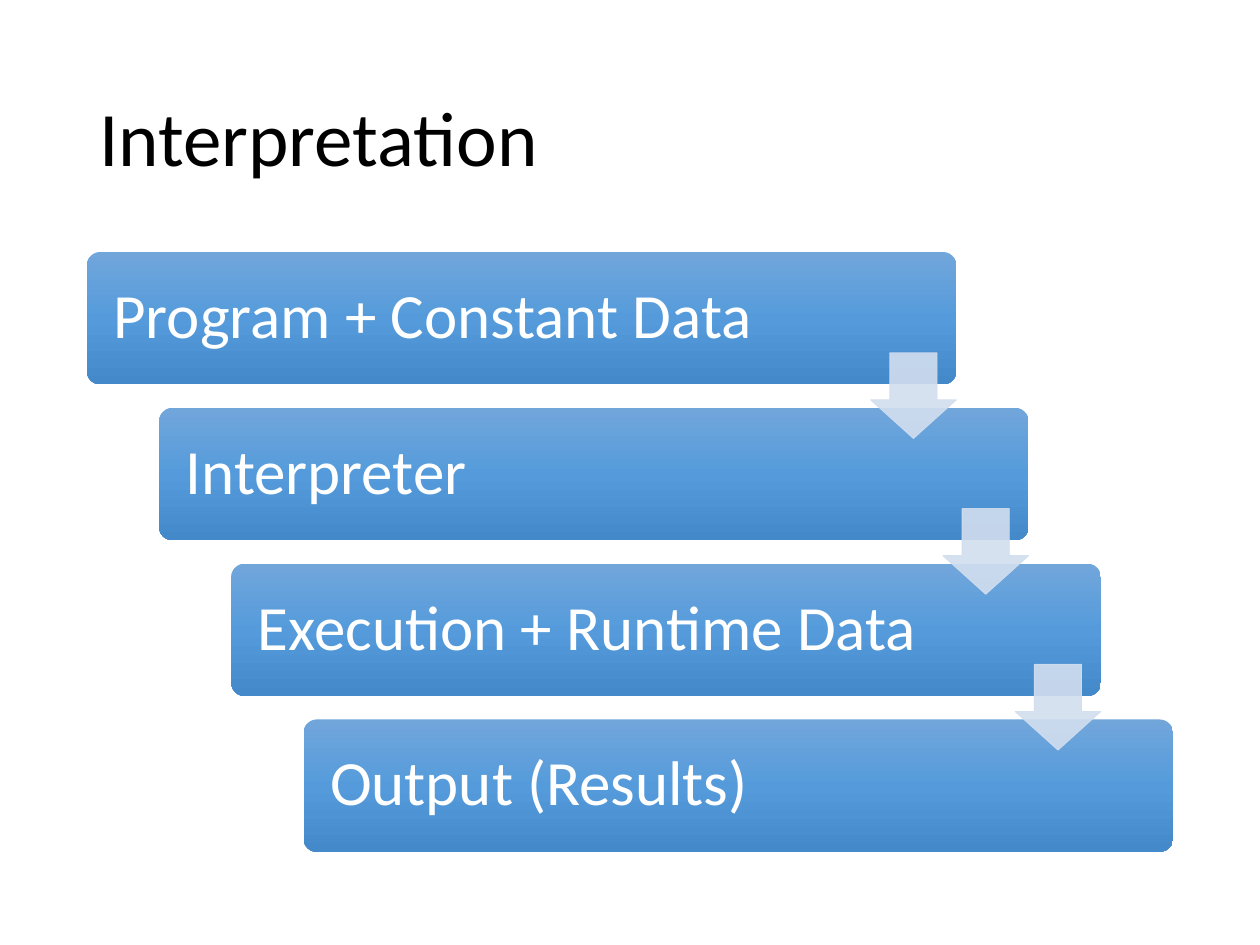
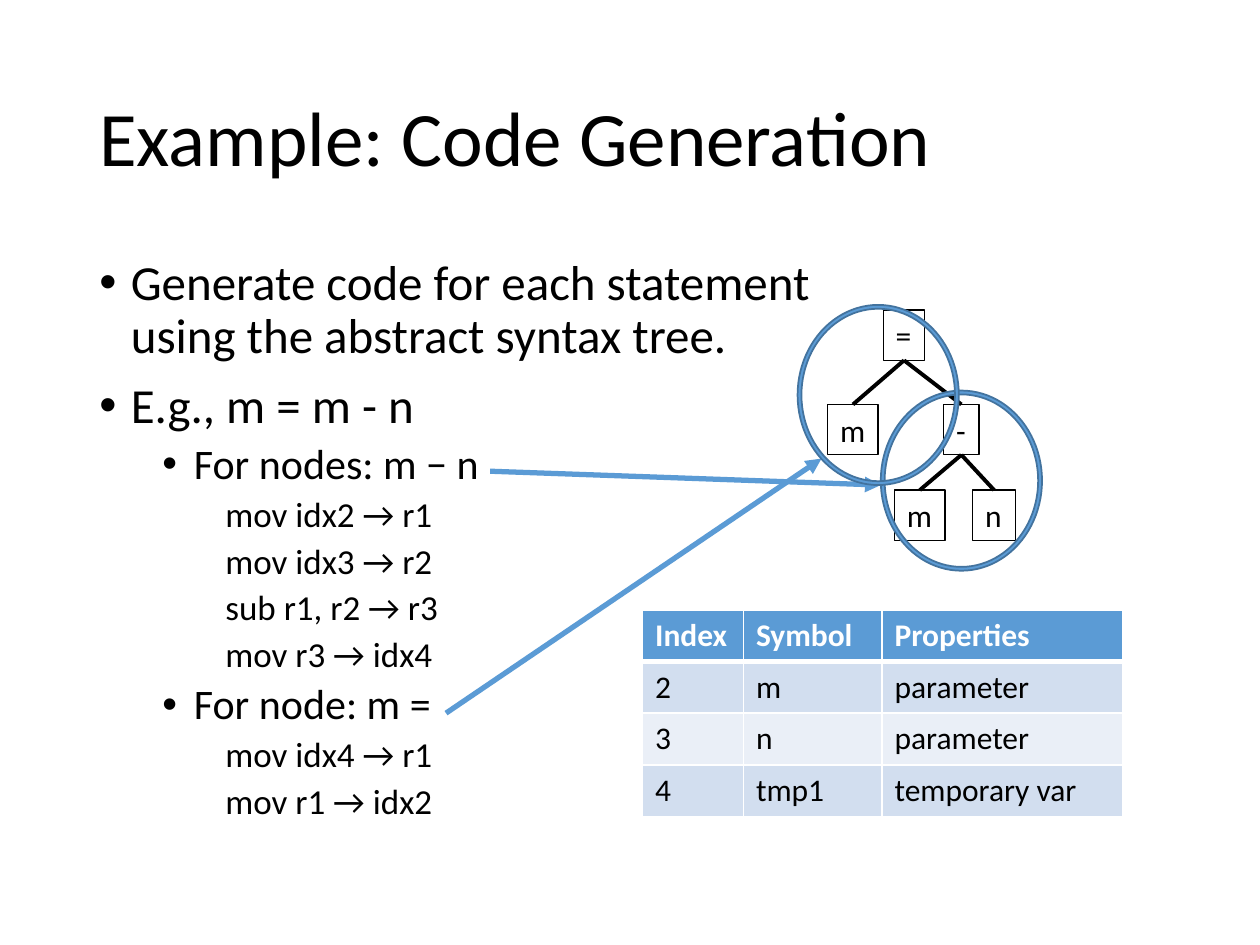
"""Build two slides on interpretation and code generation."""
from lxml import etree
from pptx import Presentation
from pptx.dml.color import RGBColor
from pptx.enum.shapes import MSO_CONNECTOR as CONNECTOR, MSO_SHAPE as SHAPE
from pptx.enum.text import MSO_ANCHOR as ANCHOR, MSO_AUTO_SIZE as AUTO_SIZE, PP_ALIGN as ALIGN
from pptx.oxml.ns import qn
from pptx.util import Inches, Pt

COLORS = {
    "black": "000000",
    "white": "FFFFFF",
    "blue": "5B9BD5",
    "outline": "43739E",
    "pale": "D2DEEF",
    "paler": "EAEFF7",
    "step_top": "71A6DB",
    "step_middle": "559BDB",
    "step_bottom": "448ACA",
}
FONT = "Calibri"
STEPS = ["Program + Constant Data", "Interpreter", "Execution + Runtime Data", "Output (Results)"]
STEP_RIGHT, STEP_DOWN = 1.72 / 3, 3.71 / 3
OUTLINE = [
    (0, "Generate code for each statement using the abstract syntax tree."),
    (0, "E.g., m = m - n"),
    (1, "For nodes: m − n"),
    (2, "mov idx2 → r1"),
    (2, "mov idx3 → r2"),
    (2, "sub r1, r2 → r3"),
    (2, "mov r3 → idx4"),
    (1, "For node: m ="),
    (2, "mov idx4 → r1"),
    (2, "mov r1 → idx2"),
]
LEVELS = [
    {"size": 28, "before": 10, "margin": 0.25, "hanging": 0.25},
    {"size": 24, "before": 5, "margin": 0.75, "hanging": 0.25},
    {"size": 20, "before": 5, "margin": 1, "hanging": 0},
]
TREE_NODES = {
    "target": ("m", 6.57, 3.21, 0.4),
    "assign": ("=", 7.01, 2.46, 0.33),
    "left": ("m", 7.1, 3.89, 0.4),
    "minus": ("-", 7.49, 3.21, 0.28),
    "right": ("n", 7.72, 3.89, 0.34),
}
TREE_EDGES = [("assign", "target"), ("assign", "minus"), ("minus", "right"), ("minus", "left")]
SYMBOLS = [
    ("Index", "Symbol", "Properties"),
    ("2", "m", "parameter"),
    ("3", "n", "parameter"),
    ("4", "tmp1", "temporary var"),
]
SYMBOL_WIDTHS = [0.8, 1.1, 1.91]
SYMBOL_ROW_HEIGHT = 0.41


def rgb(name):
    """Look up a colour by its name."""
    return RGBColor.from_string(COLORS[name])


def set_font(paragraph, size, color="black", bold=False):
    """Style a whole paragraph."""
    font = paragraph.font
    font.name, font.size, font.bold = FONT, Pt(size), bold
    font.color.rgb = rgb(color)


def add_preset(slide, kind, left, top, width, height, fill=None, line=None, weight=1):
    """Add a preset shape with its fill and line."""
    shape = slide.shapes.add_shape(kind, Inches(left), Inches(top), Inches(width), Inches(height))
    shape.shadow.inherit = False
    if fill:
        shape.fill.solid()
        shape.fill.fore_color.rgb = rgb(fill)
    else:
        shape.fill.background()
    if line:
        shape.line.color.rgb = rgb(line)
        shape.line.width = Pt(weight)
    else:
        shape.line.fill.background()
    return shape


def add_text_area(slide, left, top, width, height):
    """Add a wrapping text box and return its frame."""
    frame = slide.shapes.add_textbox(Inches(left), Inches(top), Inches(width), Inches(height)).text_frame
    frame.word_wrap = True
    return frame


def add_title(slide, title):
    """Add the slide title."""
    frame = add_text_area(slide, 0.69, 0.4, 8.62, 1.45)
    frame.vertical_anchor = ANCHOR.MIDDLE
    paragraph = frame.paragraphs[0]
    paragraph.text = title
    paragraph.line_spacing = 0.9
    set_font(paragraph, 44)


def shade_step(step):
    """Fill a step with the vertical three-colour gradient."""
    step.fill.gradient()
    step.fill.gradient_angle = 270
    stops = next(step.element.iter(qn("a:gsLst")))
    for stop in list(stops):
        stops.remove(stop)
    for position, name in enumerate(("step_top", "step_middle", "step_bottom")):
        stop = etree.SubElement(stops, qn("a:gs"), pos=str(position * 50000))
        etree.SubElement(stop, qn("a:srgbClr"), val=COLORS[name])


def add_step(slide, index, label):
    """Add one step of the staircase."""
    step = add_preset(slide, SHAPE.ROUNDED_RECTANGLE,
                      0.69 + index * STEP_RIGHT, 2 + index * STEP_DOWN, 6.9, 1.05)
    step.adjustments[0] = 0.1
    shade_step(step)
    frame = step.text_frame
    frame.word_wrap = True
    frame.vertical_anchor = ANCHOR.MIDDLE
    frame.margin_left = Inches(0.18)
    paragraph = frame.paragraphs[0]
    paragraph.text = label
    paragraph.alignment = ALIGN.LEFT
    paragraph.line_spacing = 0.9
    set_font(paragraph, 36, "white")


def add_step_arrow(slide, index):
    """Add the translucent arrow that leads to the next step."""
    arrow = add_preset(slide, SHAPE.DOWN_ARROW, 6.91 + index * STEP_RIGHT, 2.8 + index * STEP_DOWN,
                       0.68, 0.68, "pale", "pale", 0.5)
    arrow.adjustments[0], arrow.adjustments[1] = 0.55, 0.45
    for color in arrow.element.spPr.iter(qn("a:srgbClr")):
        etree.SubElement(color, qn("a:alpha"), val="90000")


def add_outline(slide):
    """Add the bulleted explanation with its code lines."""
    frame = add_text_area(slide, 0.69, 2, 5.92, 4.76)
    for index, (level, text) in enumerate(OUTLINE):
        style = LEVELS[level]
        paragraph = frame.add_paragraph() if index else frame.paragraphs[0]
        paragraph.text = text
        paragraph.level = level
        paragraph.line_spacing = 0.9
        paragraph.space_before = Pt(style["before"])
        set_font(paragraph, style["size"])
        properties = paragraph._p.get_or_add_pPr()
        properties.set("marL", str(Inches(style["margin"])))
        properties.set("indent", str(-Inches(style["hanging"])))
        if style["hanging"]:
            etree.SubElement(properties, qn("a:buFont"), typeface="Arial")
            etree.SubElement(properties, qn("a:buChar"), char="•")
            properties.append(properties.find(qn("a:defRPr")))


def add_line(slide, start, end, color, weight, arrowhead=False):
    """Add a straight line, with an arrowhead on request."""
    points = [Inches(value) for value in (*start, *end)]
    line = slide.shapes.add_connector(CONNECTOR.STRAIGHT, *points)
    line.line.color.rgb = rgb(color)
    line.line.width = Pt(weight)
    if arrowhead:
        etree.SubElement(line.line._get_or_add_ln(), qn("a:tailEnd"), type="triangle")
    etree.SubElement(line.element.spPr, qn("a:effectLst"))
    return line


def add_tree_node(slide, label, left, top, width):
    """Add a boxed symbol of the syntax tree."""
    node = add_preset(slide, SHAPE.RECTANGLE, left, top, width, 0.4, line="black", weight=0.75)
    frame = node.text_frame
    frame.word_wrap = False
    frame.auto_size = AUTO_SIZE.SHAPE_TO_FIT_TEXT
    frame.paragraphs[0].text = label
    frame.paragraphs[0].alignment = ALIGN.LEFT
    set_font(frame.paragraphs[0], 18)
    return node


def add_tree(slide):
    """Add the syntax tree, joining each parent to its children."""
    nodes = {key: add_tree_node(slide, *node) for key, node in TREE_NODES.items()}
    for parent, child in TREE_EDGES:
        edge = add_line(slide, (0, 0), (1, 1), "black", 2.25)
        edge.begin_connect(nodes[parent], 2)
        edge.end_connect(nodes[child], 0)


def add_ring(slide, left, top):
    """Add a ring around one subtree."""
    ring = add_preset(slide, SHAPE.DONUT, left, top, 1.28, 1.43, "blue", "outline")
    ring.adjustments[0] = 0.024


def set_borders(cell, bottom):
    """Draw white cell borders with the given bottom weight."""
    for side, weight in (("L", 1), ("R", 1), ("T", 1), ("B", bottom)):
        border = etree.SubElement(cell._tc.get_or_add_tcPr(), qn(f"a:ln{side}"), w=str(Pt(weight)))
        fill = etree.SubElement(border, qn("a:solidFill"))
        etree.SubElement(fill, qn("a:srgbClr"), val=COLORS["white"])


def add_symbol_table(slide):
    """Add the symbol table."""
    table = slide.shapes.add_table(
        len(SYMBOLS), len(SYMBOL_WIDTHS), Inches(5.1), Inches(4.84),
        Inches(sum(SYMBOL_WIDTHS)), Inches(SYMBOL_ROW_HEIGHT * len(SYMBOLS))).table
    for column, width in zip(table.columns, SYMBOL_WIDTHS):
        column.width = Inches(width)
    for row, entries in enumerate(SYMBOLS):
        header = row == 0
        table.rows[row].height = Inches(SYMBOL_ROW_HEIGHT)
        for column, entry in enumerate(entries):
            cell = table.cell(row, column)
            cell.text = entry
            cell.vertical_anchor = ANCHOR.MIDDLE
            set_borders(cell, 3 if header else 1)
            cell.fill.solid()
            cell.fill.fore_color.rgb = rgb("blue" if header else "pale" if row % 2 else "paler")
            set_font(cell.text_frame.paragraphs[0], 18, "white" if header else "black", header)


def build_interpretation(slide):
    """Build the staircase from program to results."""
    add_title(slide, "Interpretation")
    for index, label in enumerate(STEPS):
        add_step(slide, index, label)
    for index in range(len(STEPS) - 1):
        add_step_arrow(slide, index)


def build_code_generation(slide):
    """Build the code generation example."""
    add_line(slide, (3.54, 5.66), (6.52, 3.64), "blue", 3, arrowhead=True)
    add_title(slide, "Example: Code Generation")
    add_outline(slide)
    add_tree(slide)
    add_symbol_table(slide)
    add_ring(slide, 6.99, 3.1)
    add_line(slide, (3.89, 3.74), (6.99, 3.85), "blue", 3, arrowhead=True)
    add_ring(slide, 6.33, 2.42)


def main():
    """Build and save the presentation."""
    deck = Presentation()
    deck.slide_width, deck.slide_height = Inches(10), Inches(7.5)
    blank = deck.slide_layouts[6]
    for build in (build_interpretation, build_code_generation):
        build(deck.slides.add_slide(blank))
    deck.save("out.pptx")


if __name__ == "__main__":
    main()
